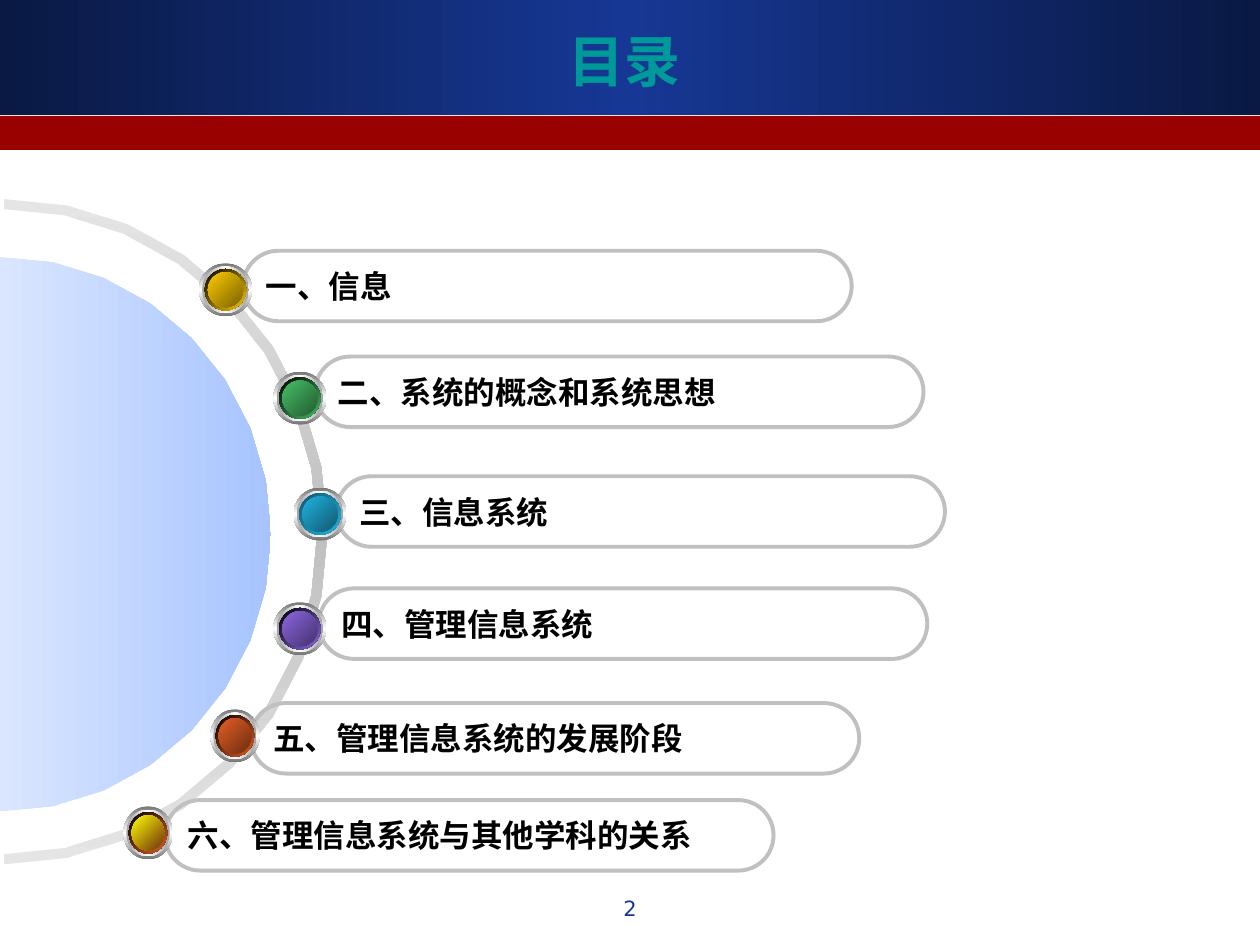
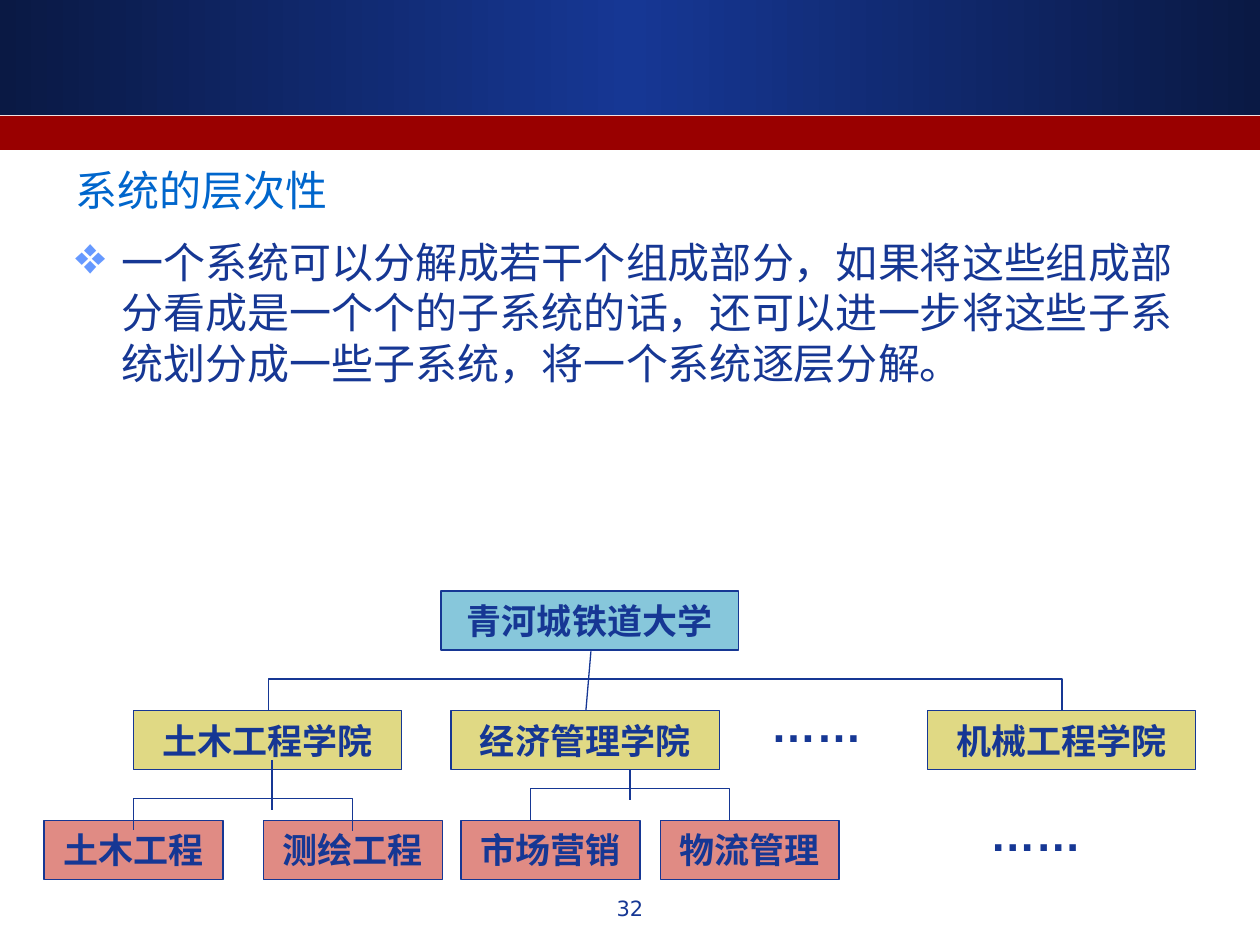
import math

from lxml import etree
from pptx import Presentation
from pptx import util as u
from pptx.dml.color import RGBColor
from pptx.enum import shapes, text
from pptx.oxml.ns import qn

COLORS = {
    "navy": "163794", "band_edge": "0A1944", "red": "990000", "title": "009999",
    "heading": "0066CC", "bullet": "6699FF", "black": "000000", "white": "FFFFFF",
    "silver": "C0C0C0", "pale": "E5E5E5", "disc_light": "DAE6FF", "disc_dark": "A7C4FF",
    "knob_outer": "767676", "knob_inner": "A2A2A2",
    "university": "87C7DB", "college": "E0D984", "major": "E08B84",
    "gold": "FFCC00", "gold_dark": "7A6200", "green": "48BE67", "green_dark": "235D32",
    "cyan": "21B3E1", "cyan_dark": "10586E", "violet": "8D67E1", "violet_dark": "45326E",
    "orange": "E35E23", "rust": "6F2E11", "yellow": "FFFF00",
}
LATIN, ARIAL, CJK = "DejaVu Sans", "Arial", "Noto Sans CJK SC"
LEFT, CENTER = text.PP_ALIGN.LEFT, text.PP_ALIGN.CENTER
RECT = shapes.MSO_SHAPE.RECTANGLE
PILL = shapes.MSO_SHAPE.ROUNDED_RECTANGLE
OVAL = shapes.MSO_SHAPE.OVAL
STRAIGHT, ELBOW = shapes.MSO_CONNECTOR.STRAIGHT, shapes.MSO_CONNECTOR.ELBOW
KNOB = 0.42


def rgb(name):
    return RGBColor.from_string(COLORS[name])


class Deck:
    """Shared style plus the slide being filled."""

    def __init__(self):
        self.prs = Presentation()
        self.prs.slide_width, self.prs.slide_height = u.Inches(10), u.Inches(7.5)
        self.s = None

    def new_slide(self, number, title=None):
        self.s = self.prs.slides.add_slide(self.prs.slide_layouts[6])
        self.shape(RECT, (0, 0, 10, 0.91), grad=("band_edge", "navy", "band_edge"))
        self.shape(RECT, (0, 0.92, 10, 0.27), fill="red")
        if title:
            tf = self.text_box((0.33, 0.17, 9.25, 0.62))
            tf.vertical_anchor = text.MSO_ANCHOR.MIDDLE
            self.run(tf.paragraphs[0], title, 32, "title", bold=True, align=CENTER)
        tf = self.text_box((3.83, 7.06, 2.34, 0.35))
        self.run(tf.paragraphs[0], number, 12, "navy", align=CENTER)

    def gradient(self, sp, names, angle):
        sp.fill.gradient()
        sp.fill.gradient_angle = -angle % 360
        stops = sp._element.spPr.find(qn("a:gradFill")).find(qn("a:gsLst"))
        for old in list(stops):
            stops.remove(old)
        for i, name in enumerate(names):
            gs = etree.SubElement(stops, qn("a:gs"), pos=str(100000 * i // (len(names) - 1)))
            etree.SubElement(gs, qn("a:srgbClr"), val=COLORS[name])

    def paint(self, sp, fill=None, grad=None, angle=0, line=None, width=0.75):
        sp.shadow.inherit = False
        if grad:
            self.gradient(sp, grad, angle)
        elif fill:
            sp.fill.solid()
            sp.fill.fore_color.rgb = rgb(fill)
        else:
            sp.fill.background()
        if line:
            sp.line.color.rgb = rgb(line)
            sp.line.width = u.Pt(width)
        else:
            sp.line.fill.background()

    def shape(self, kind, box, parent=None, **style):
        sp = (parent or self.s).shapes.add_shape(kind, *map(u.Inches, box))
        self.paint(sp, **style)
        return sp

    def outline(self, points, **style):
        points = [(u.Inches(x), u.Inches(y)) for x, y in points]
        fb = self.s.shapes.build_freeform(*points[0], scale=1.0)
        fb.add_line_segments(points[1:], close=True)
        self.paint(fb.convert_to_shape(), **style)

    def text_box(self, box):
        tf = self.s.shapes.add_textbox(*map(u.Inches, box)).text_frame
        tf.word_wrap = True
        return tf

    def run(self, p, words, size, color, font=LATIN, bold=False, align=LEFT):
        p.alignment = align
        r = p.add_run()
        r.text = words
        r.font.size, r.font.bold, r.font.name = u.Pt(size), bold, font
        r.font.color.rgb = rgb(color)
        etree.SubElement(r.font._element, qn("a:ea"), typeface=CJK)

    def label(self, sp, words, size, color, font=LATIN, align=CENTER):
        tf = sp.text_frame
        tf.word_wrap = False
        tf.vertical_anchor = text.MSO_ANCHOR.MIDDLE
        self.run(tf.paragraphs[0], words, size, color, font, True, align)

    def line(self, x1, y1, x2, y2, kind=STRAIGHT):
        ends = map(u.Inches, (x1, y1, x2, y2))
        cn = self.s.shapes.add_connector(kind, *ends)
        cn.line.color.rgb = rgb("navy")
        cn.line.width = u.Pt(0.75)
        etree.SubElement(cn._element.spPr, qn("a:effectLst"))
        return cn

    def bracket(self, left, right, y, rise=0.25):
        """Elbow joining two points at height y by a bar above them."""
        x, half, depth = (left + right) / 2, (right - left) / 2, 0.01
        cn = self.line(x - depth / 2, y + half, x + depth / 2, y - half, ELBOW)
        spPr = cn._element.spPr
        spPr.find(qn("a:xfrm")).set("rot", "5400000")
        guides = spPr.find(qn("a:prstGeom")).find(qn("a:avLst"))
        bend = round(-100000 * rise / depth)
        etree.SubElement(guides, qn("a:gd"), name="adj1", fmla=f"val {bend}")

    def pill(self, x, y, words):
        sp = self.shape(PILL, (x, y, 4.83, 0.56), line="silver", width=2.25)
        sp.adjustments[0] = 0.5
        self.label(sp, words, 18, "black", CJK, LEFT)

    def knob(self, x, y, width, rim, face):
        group = self.s.shapes.add_group_shape()
        layers = [
            (0.42, ("knob_outer", "white", "knob_outer"), 90),
            (0.37, ("knob_inner", "white", "knob_inner"), 0),
            (0.33, rim, 45),
            (0.28, face, 45),
        ]
        for high, grad, angle in layers:
            wide = width * high / KNOB
            box = (x + (width - wide) / 2, y + (KNOB - high) / 2, wide, high)
            self.shape(OVAL, box, group, grad=grad, angle=angle)

    def node(self, x, y, width, words, fill):
        sp = self.shape(RECT, (x, y, width, 0.47), fill=fill, line="navy")
        self.label(sp, words, 20, "navy")

    def ellipsis(self, x, y):
        tf = self.text_box((x, y, 1.18, 0.53))
        self.run(tf.paragraphs[0], "……", 26, "navy", ARIAL, True)


def right_half(cx, cy, rx, ry, steps=16):
    """Points of a half ellipse, from top to bottom."""
    angles = [math.pi * (i / steps - 0.5) for i in range(steps + 1)]
    return [(cx + rx * math.cos(a), cy + ry * math.sin(a)) for a in angles]


def contents_slide(deck):
    deck.new_slide("2", "目录")

    # Ring and disc
    ring = right_half(0.03, 4.22, 2.57, 2.64) + right_half(0.03, 4.22, 2.49, 2.56)[::-1]
    deck.outline(ring, grad=("pale", "silver", "pale"), angle=90)
    deck.outline(right_half(0, 4.24, 2.15, 2.2), grad=("disc_light", "disc_dark"))

    # Chapters: text, pill corner, knob corner and width, rim, face
    chapters = [
        ("一、信息", (1.93, 1.99), (1.58, 2.09, 0.42), ("black", "gold"), ("gold", "gold_dark")),
        ("二、系统的概念和系统思想", (2.5, 2.83), (2.17, 2.95, 0.42),
         ("black", "green"), ("green", "green_dark")),
        ("三、信息系统", (2.67, 3.78), (2.33, 3.87, 0.42),
         ("cyan_dark", "cyan"), ("cyan", "cyan_dark")),
        ("四、管理信息系统", (2.53, 4.67), (2.17, 4.78, 0.42),
         ("black", "violet"), ("violet", "violet_dark")),
        ("五、管理信息系统的发展阶段", (1.99, 5.58), (1.67, 5.63, 0.39),
         ("black", "orange"), ("orange", "rust")),
        ("六、管理信息系统与其他学科的关系", (1.31, 6.35), (0.98, 6.4, 0.39),
         ("black", "orange"), ("yellow", "rust")),
    ]
    for words, corner, knob, rim, face in chapters:
        deck.pill(*corner, words)
        deck.knob(*knob, rim, face)


def hierarchy_slide(deck):
    deck.new_slide("32")

    # Heading and bullet
    tf = deck.text_box((0.5, 1.26, 9, 5.74))
    heading, bullet = tf.paragraphs[0], tf.add_paragraph()
    deck.run(heading, "系统的层次性", 24, "heading", ARIAL)
    deck.run(bullet, "一个系统可以分解成若干个组成部分，如果将这些组成部分看成是一个个的子系统的话，"
             "还可以进一步将这些子系统划分成一些子系统，将一个系统逐层分解。", 24, "navy", ARIAL)
    heading.line_spacing = bullet.line_spacing = u.Pt(28.8)
    bullet.space_before = u.Pt(12)
    ppr = bullet._p.get_or_add_pPr()
    ppr.set("marL", str(u.Inches(0.37)))
    ppr.set("indent", str(-u.Inches(0.37)))
    color = etree.SubElement(ppr, qn("a:buClr"))
    etree.SubElement(color, qn("a:srgbClr"), val=COLORS["bullet"])
    etree.SubElement(ppr, qn("a:buSzPct"), val="125000")
    etree.SubElement(ppr, qn("a:buChar"), char="❖")

    # Tree nodes
    deck.node(3.5, 4.69, 2.36, "青河城铁道大学", "university")
    for x, words in [(1.06, "土木工程学院"), (3.58, "经济管理学院"), (7.36, "机械工程学院")]:
        deck.node(x, 5.64, 2.13, words, "college")
    for x, words in [(0.35, "土木工程"), (2.09, "测绘工程"), (3.66, "市场营销"), (5.24, "物流管理")]:
        deck.node(x, 6.51, 1.42, words, "major")
    deck.ellipsis(6.02, 5.48)
    deck.ellipsis(7.76, 6.35)

    # Tree links
    deck.bracket(2.13, 8.43, 5.64)
    deck.bracket(1.06, 2.8, 6.59)
    deck.bracket(4.21, 5.79, 6.51)
    deck.line(4.69, 5.17, 4.65, 5.64)
    deck.line(2.16, 6.03, 2.16, 6.43)
    deck.line(5, 6.11, 5, 6.35)


def main():
    deck = Deck()
    contents_slide(deck)
    hierarchy_slide(deck)
    deck.prs.save("out.pptx")


if __name__ == "__main__":
    main()
